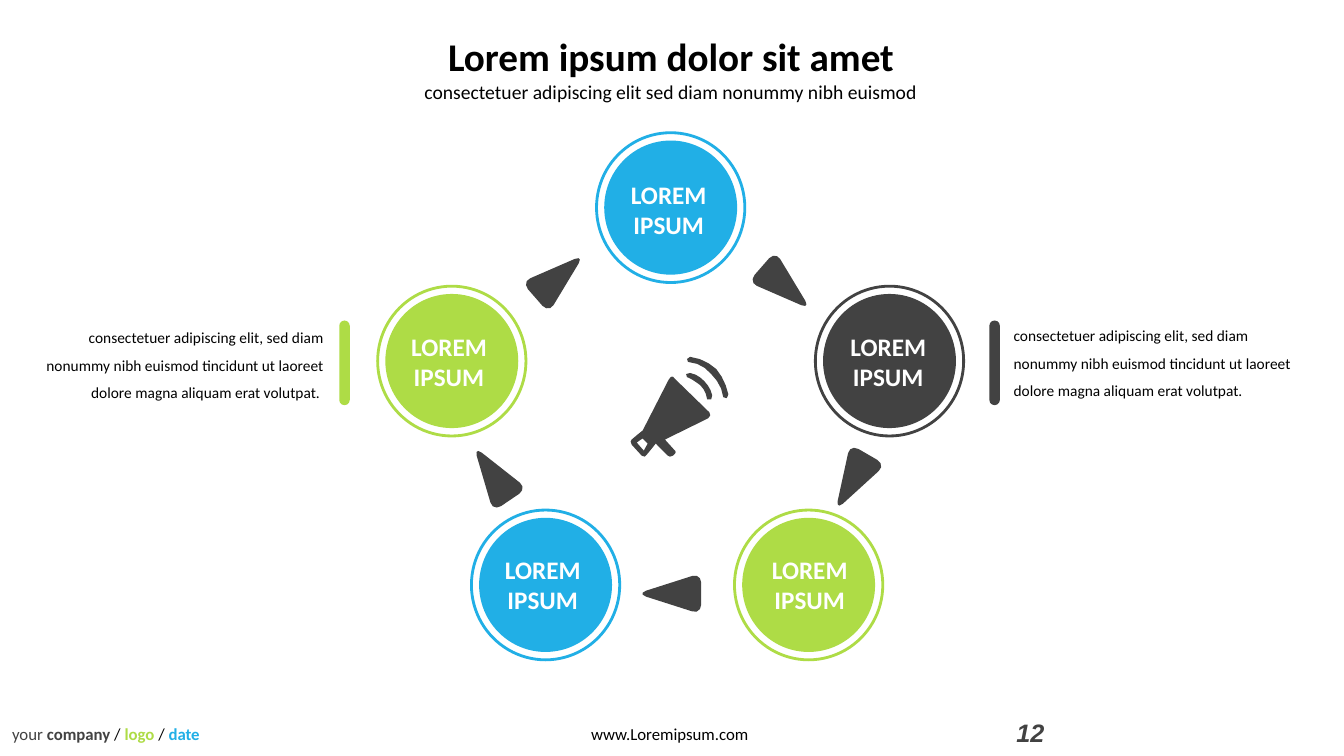
from dataclasses import dataclass

from pptx import Presentation
from pptx.dml.color import RGBColor
from pptx.enum.shapes import MSO_SHAPE
from pptx.enum.text import PP_ALIGN
from pptx.shapes.autoshape import Shape
from pptx.slide import Slide
from pptx.util import Pt

OVAL, ROUNDED = MSO_SHAPE.OVAL, MSO_SHAPE.ROUNDED_RECTANGLE
LEFT, CENTER, RIGHT = PP_ALIGN.LEFT, PP_ALIGN.CENTER, PP_ALIGN.RIGHT


@dataclass(frozen=True)
class Theme:
    blue: str = "21AFE6"
    green: str = "AEDC46"
    dark: str = "424242"
    black: str = "000000"
    white: str = "FFFFFF"
    font: str = "Calibri"
    number_font: str = "Arial"
    title: float = 28
    subtitle: float = 14
    label: float = 18
    footer: float = 12
    body: float = 11


THEME = Theme()
RING, DISC = (106, 107), (95, 95.8)
LABEL_WIDTH, LABEL_HEIGHT = 72.7, 50.4
BAR_WIDTH, BAR_HEIGHT = 7.5, 60.5
CURVE_STEPS = 3
ICON_ORIGIN = (450.7, 254.2)
DESCRIPTION = ("consectetuer adipiscing elit, sed diam nonummy nibh euismod tincidunt "
               "ut laoreet dolore magna aliquam erat volutpat.")

Point = tuple[float, float]
Contour = list[tuple[float, ...]]


@dataclass(frozen=True)
class Run:
    text: str
    color: str = THEME.black
    bold: bool = False


@dataclass(frozen=True)
class Line:
    runs: tuple[Run, ...]
    size: float
    align: PP_ALIGN = LEFT
    font: str = THEME.font
    italic: bool = False
    spacing: float | None = None


@dataclass(frozen=True)
class Stage:
    x: float
    y: float
    color: str
    label_x: float
    label_y: float


@dataclass(frozen=True)
class Arrow:
    x: float
    y: float
    angle: float


@dataclass(frozen=True)
class Note:
    text: str
    left: float
    top: float
    bar_x: float
    color: str
    align: PP_ALIGN


STAGES = [
    Stage(479.3, 148.3, THEME.blue, 479.9, 149.8),
    Stage(322.9, 257.9, THEME.green, 322.9, 258.5),
    Stage(635.7, 257.9, THEME.dark, 636.8, 258.5),
    Stage(389.9, 417.8, THEME.blue, 389.9, 417.6),
    Stage(577.9, 417.8, THEME.green, 580.7, 417.6),
]
ARROWS = [
    Arrow(560.2, 204.2, 221.2),
    Arrow(398.2, 198.7, 138.8),
    Arrow(352.8, 339.8, 55.9),
    Arrow(609.8, 342.7, 300),
    Arrow(480.2, 424.1, 0),
]
NOTES = [
    Note(DESCRIPTION, 717.3, 222.8, 710.8, THEME.dark, LEFT),
    Note(DESCRIPTION + " ", 22.5, 224.2, 246.2, THEME.green, RIGHT),
]

ARROWHEAD: Contour = [
    (43, 21.6), (43, 25.2, 40, 27.6, 36.7, 26.4), (3.6, 15.8),
    (0, 14.4, 0, 13, 3.6, 11.6), (36.7, 1), (40, -0.2, 43, 2.2, 43, 5.8),
]
HORN: Contour = [
    (31, 15.8), (31, 15.1, 29.5, 14.4, 28.8, 15.1), (27.4, 16.6),
    (8.6, 53.3), (5, 56.2), (0.7, 59.8), (0, 61.2), (0.7, 63.4), (7.9, 71.3), (10.1, 72),
    (11.5, 70.6), (15.1, 66.2), (18, 62.6), (18.7, 63.4), (26.6, 71.3), (28.1, 72),
    (30.2, 71.3), (31.7, 69.8), (32.4, 69.1, 32.4, 67.7, 31, 67), (24.5, 59.8),
    (55.4, 44.6), (56.9, 42.5), (56.2, 40.3),
]
MOUTHPIECE: Contour = [(9.4, 67.7), (4.3, 61.9), (8.6, 59), (12.2, 62.6)]
OUTER_WAVE: Contour = [
    (69.8, 27.4), (68.4, 20.9, 65.5, 14.4, 61.2, 9.4), (56.2, 5, 49.7, 1.4, 42.5, 0.7),
    (40.3, 2.2), (41, 4.3), (48.2, 5, 53.3, 7.9, 57.6, 13),
    (61.9, 17.3, 65.5, 23, 66.2, 29.5), (68.4, 30.2), (69.1, 29.5),
]
INNER_WAVE: Contour = [
    (52.6, 18), (49.7, 15.1, 46.8, 13, 42.5, 12.2), (39.6, 13), (40.3, 15.1),
    (43.9, 16.6, 46.8, 18.7, 49.7, 20.9), (52.6, 23.8, 54, 26.6, 54.7, 31),
    (57.6, 31), (58.3, 28.1), (57.6, 24.5, 55.4, 20.9, 52.6, 18),
]


def flatten(contour: Contour) -> list[Point]:
    points: list[Point] = []
    for segment in contour:
        if len(segment) == 2:
            points.append((segment[0], segment[1]))
            continue
        x0, y0 = points[-1]
        x1, y1, x2, y2, x3, y3 = segment
        for step in range(1, CURVE_STEPS + 1):
            t = step / CURVE_STEPS
            a, b, c, d = (1 - t) ** 3, 3 * t * (1 - t) ** 2, 3 * t * t * (1 - t), t ** 3
            points.append((a * x0 + b * x1 + c * x2 + d * x3,
                           a * y0 + b * y1 + c * y2 + d * y3))
    return points


def paint(shape: Shape, fill: str, outline: str | None = None) -> None:
    shape.shadow.inherit = False
    shape.fill.solid()
    shape.fill.fore_color.rgb = RGBColor.from_string(fill)
    if outline is None:
        shape.line.fill.background()
    else:
        shape.line.color.rgb = RGBColor.from_string(outline)
        shape.line.width = Pt(2)


def add_outline(slide: Slide, contours: list[Contour], origin: Point) -> Shape:
    first, *holes = [[(Pt(x + origin[0]), Pt(y + origin[1])) for x, y in flatten(contour)]
                     for contour in contours]
    builder = slide.shapes.build_freeform(*first[0], scale=1.0)
    builder.add_line_segments(first[1:], close=True)
    for hole in holes:
        builder.move_to(*hole[0])
        builder.add_line_segments(hole[1:], close=True)
    outline = builder.convert_to_shape()
    paint(outline, THEME.dark)
    return outline


def add_text(slide: Slide, left: float, top: float, width: float, height: float,
             lines: list[Line], wrap: bool = True) -> None:
    frame = slide.shapes.add_textbox(Pt(left), Pt(top), Pt(width), Pt(height)).text_frame
    frame.word_wrap = wrap
    for index, line in enumerate(lines):
        paragraph = frame.add_paragraph() if index else frame.paragraphs[0]
        paragraph.alignment = line.align
        paragraph.line_spacing = line.spacing
        paragraph.font.name = line.font
        paragraph.font.size = Pt(line.size)
        paragraph.font.italic = line.italic
        for piece in line.runs:
            run = paragraph.add_run()
            run.text = piece.text
            run.font.bold = piece.bold
            run.font.color.rgb = RGBColor.from_string(piece.color)


def add_centered(slide: Slide, kind: MSO_SHAPE, x: float, y: float, size: Point,
                 fill: str, outline: str | None = None) -> Shape:
    width, height = size
    shape = slide.shapes.add_shape(kind, Pt(x - width / 2), Pt(y - height / 2),
                                   Pt(width), Pt(height))
    paint(shape, fill, outline)
    return shape


def add_stage(slide: Slide, stage: Stage) -> None:
    add_centered(slide, OVAL, stage.x, stage.y, RING, THEME.white, stage.color)
    add_centered(slide, OVAL, stage.x, stage.y, DISC, stage.color)
    add_text(slide, stage.label_x - LABEL_WIDTH / 2, stage.label_y - LABEL_HEIGHT / 2,
             LABEL_WIDTH, LABEL_HEIGHT,
             [Line((Run(word, THEME.white, True),), THEME.label, CENTER)
              for word in ("LOREM ", "IPSUM ")], wrap=False)


def add_arrow(slide: Slide, arrow: Arrow) -> None:
    head = add_outline(slide, [ARROWHEAD], (arrow.x, arrow.y))
    head.left = Pt(arrow.x) - head.width // 2
    head.top = Pt(arrow.y) - head.height // 2
    head.rotation = arrow.angle


def add_note(slide: Slide, note: Note) -> None:
    add_text(slide, note.left, note.top, 216, 67,
             [Line((Run(note.text),), THEME.body, note.align, spacing=1.5)])
    bar = add_centered(slide, ROUNDED, note.bar_x, 259.2, (BAR_WIDTH, BAR_HEIGHT), note.color)
    bar.adjustments[0] = 0.5


def main() -> None:
    deck = Presentation()
    deck.slide_width, deck.slide_height = Pt(960.5), Pt(540)
    slide = deck.slides.add_slide(deck.slide_layouts[6])

    add_text(slide, 415.4, 513.4, 127.4, 21.6,
             [Line((Run("www.Loremipsum.com"),), THEME.footer)], wrap=False)
    add_text(slide, 1.6, 513.4, 149, 21.6, [Line((
        Run("your ", THEME.dark), Run("company ", THEME.dark, True), Run("/ "),
        Run("logo ", THEME.green, True), Run("/ "), Run("date", THEME.blue, True),
    ), THEME.footer)], wrap=False)
    add_text(slide, 719.3, 509, 216, 28.8, [
        Line((Run("12", THEME.dark, True),), THEME.label, font=THEME.number_font, italic=True)])
    add_text(slide, 286.8, 19.6, 385.2, 57.6, [
        Line((Run("Lorem ipsum dolor sit amet", bold=True),), THEME.title, CENTER),
        Line((Run("consectetuer adipiscing elit sed diam nonummy nibh euismod"),),
             THEME.subtitle, CENTER)])

    for stage in STAGES:
        add_stage(slide, stage)
    for arrow in ARROWS:
        add_arrow(slide, arrow)
    for contours in ([HORN, MOUTHPIECE], [OUTER_WAVE], [INNER_WAVE]):
        add_outline(slide, contours, ICON_ORIGIN)
    for note in NOTES:
        add_note(slide, note)

    deck.save("out.pptx")


if __name__ == "__main__":
    main()
